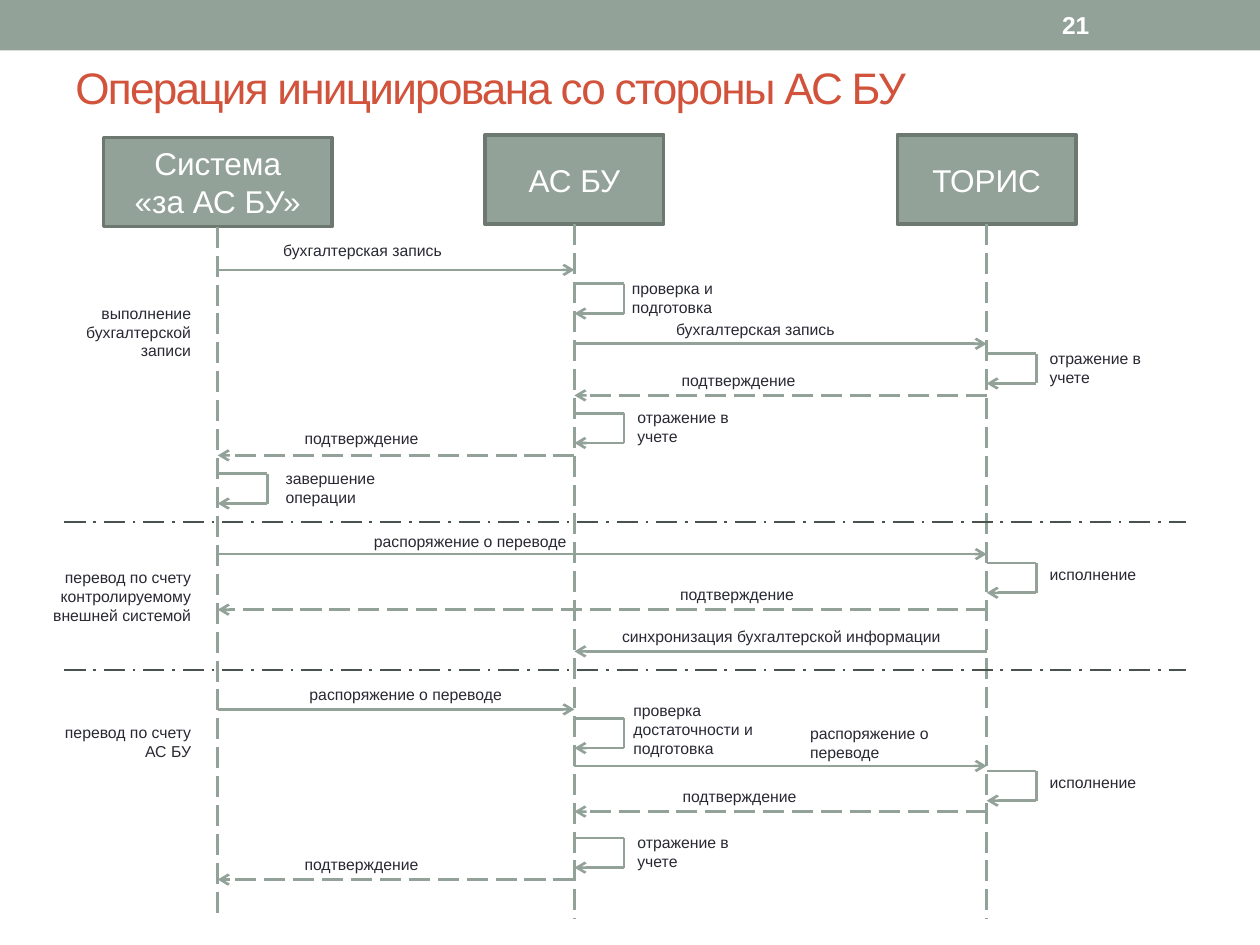
from typing import NamedTuple

from lxml import etree
from pptx import Presentation
from pptx.dml.color import RGBColor
from pptx.enum.dml import MSO_LINE
from pptx.enum.shapes import MSO_CONNECTOR, MSO_SHAPE
from pptx.enum.text import MSO_ANCHOR, PP_ALIGN
from pptx.oxml.ns import qn
from pptx.util import Cm, Pt

SAGE = RGBColor(0x93, 0xA2, 0x99)
BORDER = RGBColor(0x6D, 0x78, 0x71)
DIVIDER = RGBColor(0x47, 0x53, 0x4C)
RED = RGBColor(0xD2, 0x53, 0x3C)
DARK = RGBColor(0x29, 0x29, 0x34)
WHITE = RGBColor(0xFF, 0xFF, 0xFF)

FONT = "Arial"
LABEL_SIZE = 9
STRAIGHT = MSO_CONNECTOR.STRAIGHT
RECTANGLE = MSO_SHAPE.RECTANGLE
LONG_DASH = MSO_LINE.LONG_DASH
LONG_DASH_DOT = MSO_LINE.LONG_DASH_DOT
TOP, MIDDLE = MSO_ANCHOR.TOP, MSO_ANCHOR.MIDDLE
LEFT, CENTER, RIGHT = PP_ALIGN.LEFT, PP_ALIGN.CENTER, PP_ALIGN.RIGHT

SLIDE_WIDTH, SLIDE_HEIGHT = 25.4, 19.05
SYSTEM, ACCOUNTING, BANK = 4.39, 11.58, 19.89
LIFELINE_END = 18.52
LOOP_WIDTH, LOOP_HEIGHT = 1.0, 0.6
DIVIDER_LEFT, DIVIDER_RIGHT = 1.3, 23.9
NOTE_RIGHT = 4.1


class Message(NamedTuple):
    start: float
    end: float
    y: float
    text: str
    label_offset: float
    label_width: float = 5.0
    label_rise: float = 0.63
    dash: object = None


class SelfCall(NamedTuple):
    lifeline: float
    y: float
    text: str
    label_offset: float = 1.02
    label_rise: float = 0.23
    label_width: float = 3.0


class Note(NamedTuple):
    y: float
    width: float
    text: str


class Section(NamedTuple):
    top: float
    note: Note
    messages: list
    self_calls: list


PARTICIPANTS = [
    (SYSTEM, 2.77, 4.6, "Система\n«за АС БУ»"),
    (ACCOUNTING, 2.72, 3.6, "АС БУ"),
    (BANK, 2.72, 3.6, "ТОРИС"),
]

SECTIONS = [
    Section(
        4.57,
        Note(1.42, 2.8, "выполнение бухгалтерской записи"),
        [
            Message(SYSTEM, ACCOUNTING, 0.87, "бухгалтерская запись", 1.07, label_rise=0.71),
            Message(ACCOUNTING, BANK, 2.36, "бухгалтерская запись", 1.8, label_rise=0.6),
            Message(BANK, ACCOUNTING, 3.4, "подтверждение", 1.91, dash=LONG_DASH),
            Message(ACCOUNTING, SYSTEM, 4.61, "подтверждение", 1.5, 3.3, 0.66, LONG_DASH),
        ],
        [
            SelfCall(ACCOUNTING, 1.15, "проверка и подготовка", 0.91, label_width=2.51),
            SelfCall(BANK, 2.56, "отражение в учете"),
            SelfCall(ACCOUNTING, 3.76, "отражение в учете"),
            SelfCall(SYSTEM, 4.98, "завершение операции", 1.12),
        ],
    ),
    Section(
        10.52,
        Note(0.81, 3.4, "перевод по счету контролируемому внешней системой"),
        [
            Message(SYSTEM, BANK, 0.65, "распоряжение о переводе", 2.9, label_rise=0.58),
            Message(BANK, SYSTEM, 1.77, "подтверждение", 9.07, dash=LONG_DASH),
            Message(BANK, ACCOUNTING, 2.61, "синхронизация бухгалтерской информации", 0.71, 7.6),
        ],
        [SelfCall(BANK, 0.83, "исполнение", label_rise=0.08)],
    ),
    Section(
        13.51,
        Note(0.94, 3.4, "перевод по счету АС БУ"),
        [
            Message(SYSTEM, ACCOUNTING, 0.79, "распоряжение о переводе", 1.6),
            Message(ACCOUNTING, BANK, 1.93, "распоряжение о переводе", 4.5, 4.06, 0.97),
            Message(BANK, ACCOUNTING, 2.85, "подтверждение", 1.93, dash=LONG_DASH),
            Message(ACCOUNTING, SYSTEM, 4.22, "подтверждение", 1.5, 3.3, dash=LONG_DASH),
        ],
        [
            SelfCall(ACCOUNTING, 0.97, "проверка достаточности и подготовка", 0.94, 0.48, 3.12),
            SelfCall(BANK, 2.03, "исполнение", label_rise=0.08),
            SelfCall(ACCOUNTING, 3.38, "отражение в учете"),
        ],
    ),
]


def write_text(shape, text, size, color, align=LEFT, anchor=TOP, bold=False):
    text_frame = shape.text_frame
    text_frame.text = text
    text_frame.word_wrap = True
    text_frame.vertical_anchor = anchor
    for paragraph in text_frame.paragraphs:
        paragraph.alignment = align
        for run in paragraph.runs:
            run.font.name = FONT
            run.font.size = Pt(size)
            run.font.bold = bold
            run.font.color.rgb = color


def add_text(slide, left, top, width, height, text, size=LABEL_SIZE, color=DARK, **style):
    box = slide.shapes.add_textbox(Cm(left), Cm(top), Cm(width), Cm(height))
    write_text(box, text, size, color, **style)
    return box


def add_rectangle(slide, left, top, width, height):
    shape = slide.shapes.add_shape(RECTANGLE, Cm(left), Cm(top), Cm(width), Cm(height))
    shape.shadow.inherit = False
    shape.fill.solid()
    shape.fill.fore_color.rgb = SAGE
    return shape


def add_line(shapes, x1, y1, x2, y2, color=SAGE, dash=None, arrow=False):
    connector = shapes.add_connector(STRAIGHT, Cm(x1), Cm(y1), Cm(x2), Cm(y2))
    connector.line.color.rgb = color
    connector.line.width = Pt(1.5)
    if dash is not None:
        connector.line.dash_style = dash
    properties = connector.element.spPr
    if arrow:
        etree.SubElement(properties.find(qn("a:ln")), qn("a:tailEnd"), type="arrow")
    etree.SubElement(properties, qn("a:effectLst"))


def add_header(slide):
    band = add_rectangle(slide, 0, 0, SLIDE_WIDTH, 1.02)
    band.line.fill.background()
    add_text(slide, 21.16, 0.05, 2.97, 0.91, "21", 14, WHITE, anchor=MIDDLE, bold=True)
    title = add_text(slide, 1.27, 1.13, 22.86, 1.24, "Операция инициирована со стороны АС БУ",
                     25.2, RED, anchor=MIDDLE)
    for run_properties in title.element.iter(qn("a:rPr")):
        run_properties.set("spc", "-100")


def add_participant(slide, center, top, width, name):
    height = 1.8
    box = add_rectangle(slide, center - width / 2, top, width, height)
    box.line.color.rgb = BORDER
    box.line.width = Pt(2.08)
    write_text(box, name, 18, WHITE, align=CENTER, anchor=MIDDLE)
    add_line(slide.shapes, center, top + height, center, LIFELINE_END, dash=LONG_DASH)


def add_message(slide, top, message):
    y = top + message.y
    add_line(slide.shapes, message.start, y, message.end, y, dash=message.dash, arrow=True)
    left = min(message.start, message.end) + message.label_offset
    add_text(slide, left, y - message.label_rise, message.label_width, 0.64, message.text)


def add_self_call(slide, top, call):
    y = top + call.y
    left, right, bottom = call.lifeline, call.lifeline + LOOP_WIDTH, y + LOOP_HEIGHT
    loop = slide.shapes.add_group_shape().shapes
    add_line(loop, left, y, right, y)
    add_line(loop, right, y, right, bottom)
    add_line(loop, right, bottom, left, bottom, arrow=True)
    add_text(slide, left + call.label_offset, y - call.label_rise, call.label_width, 1.02, call.text)


def add_section(slide, section):
    note = section.note
    add_text(slide, NOTE_RIGHT - note.width, section.top + note.y, note.width, 1.02,
             note.text, align=RIGHT)
    for message in section.messages:
        add_message(slide, section.top, message)
    for call in section.self_calls:
        add_self_call(slide, section.top, call)


def main():
    presentation = Presentation()
    presentation.slide_width = Cm(SLIDE_WIDTH)
    presentation.slide_height = Cm(SLIDE_HEIGHT)
    slide = presentation.slides.add_slide(presentation.slide_layouts[6])
    add_header(slide)
    for participant in PARTICIPANTS:
        add_participant(slide, *participant)
    for section in SECTIONS:
        add_section(slide, section)
    for section in SECTIONS[1:]:
        add_line(slide.shapes, DIVIDER_LEFT, section.top, DIVIDER_RIGHT, section.top,
                 DIVIDER, LONG_DASH_DOT)
    presentation.save("out.pptx")


if __name__ == "__main__":
    main()
